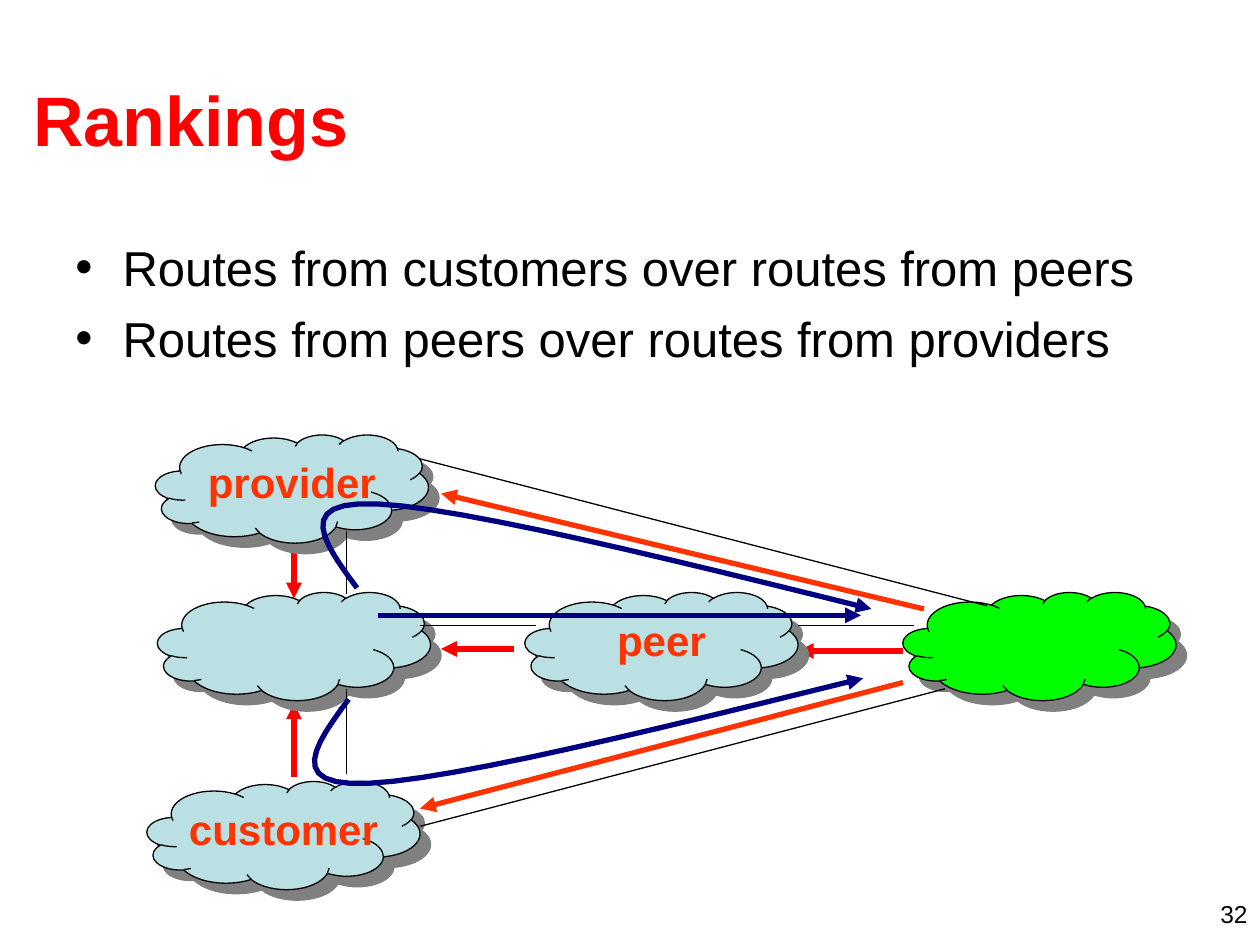
from lxml.etree import SubElement
from pptx import Presentation
from pptx.dml.color import RGBColor
from pptx.enum.shapes import MSO_CONNECTOR, MSO_SHAPE
from pptx.enum.text import MSO_ANCHOR, PP_ALIGN
from pptx.oxml.ns import qn
from pptx.util import Pt

SCALE = 7620
COLORS = {
    "red": "FF0000", "orange": "FF3300", "navy": "000080", "black": "000000",
    "sky": "BBE0E3", "green": "00FF00", "gray": "808080",
}


def emu(px):
    return round(px * SCALE)


def bezier(a, b, c, d, steps=12):
    points = []
    for i in range(1, steps + 1):
        t = i / steps
        u = 1 - t
        points.append(tuple(
            emu(u**3 * p + 3 * u * u * t * q + 3 * u * t * t * r + t**3 * s)
            for p, q, r, s in zip(a, b, c, d)))
    return points


class Deck:
    """Holds the style and the current slide, and draws each kind of element."""

    def __init__(self, prs):
        self.font = "Arial"
        self.slide = prs.slides.add_slide(prs.slide_layouts[6])
        self.shapes = self.slide.shapes

    def color(self, name):
        return RGBColor.from_string(COLORS[name])

    def text(self, box, lines, size, color="black", bold=False,
             align=PP_ALIGN.LEFT, anchor=MSO_ANCHOR.TOP, bullet=False, gap=0):
        frame = self.shapes.add_textbox(*map(emu, box)).text_frame
        frame.word_wrap = True
        frame.vertical_anchor = anchor
        frame.text = "\n".join(lines)
        for i, para in enumerate(frame.paragraphs):
            para.alignment = align
            if i:
                para.space_before = Pt(gap)
            if bullet:
                props = para._p.get_or_add_pPr()
                props.set("marL", str(emu(45)))
                props.set("indent", str(emu(-45)))
                SubElement(props, qn("a:buFont"), typeface=self.font)
                SubElement(props, qn("a:buChar"), char="•")
            for run in para.runs:
                run.font.name = self.font
                run.font.size = Pt(size)
                run.font.bold = bold
                run.font.color.rgb = self.color(color)

    def stroke(self, shape, color, width, arrow):
        shape.line.color.rgb = self.color(color)
        shape.line.width = Pt(width)
        if arrow:
            SubElement(shape.line._get_or_add_ln(), qn("a:tailEnd"), type="triangle")

    def line(self, ends, color="black", width=0.75, arrow=False):
        link = self.shapes.add_connector(MSO_CONNECTOR.STRAIGHT, *map(emu, ends))
        self.stroke(link, color, width, arrow)
        SubElement(link._element.spPr, qn("a:effectLst"))

    def curve(self, points):
        start = points[0]
        form = self.shapes.build_freeform(emu(start[0]), emu(start[1]), scale=1.0)
        for i in (0, 3):
            form.add_line_segments(bezier(*points[i:i + 4]), close=False)
        shape = form.convert_to_shape()
        shape.shadow.inherit = False
        shape.fill.background()
        self.stroke(shape, "navy", 3, True)

    def cloud(self, left, top, fill, label=""):
        box = map(emu, (left, top, 260, 103))
        shape = self.shapes.add_shape(MSO_SHAPE.CLOUD, *box)
        shape.fill.solid()
        shape.fill.fore_color.rgb = self.color(fill)
        self.stroke(shape, "black", 0.75, False)
        shape.shadow.inherit = False
        effects = shape._element.spPr.find(qn("a:effectLst"))
        shadow = SubElement(effects, qn("a:outerShdw"), dist=str(Pt(8.5)),
                            dir="2700000", algn="ctr", rotWithShape="0")
        SubElement(shadow, qn("a:srgbClr"), val=COLORS["gray"])
        if label:
            self.text((left + 10, top + 15, 240, 60), [label], 24,
                      "orange", bold=True, align=PP_ALIGN.CENTER)


def main():
    prs = Presentation()
    prs.slide_width, prs.slide_height = emu(1200), emu(900)
    deck = Deck(prs)

    deck.text((20, 38, 1150, 150), ["Rankings"], 40, "red", bold=True,
              anchor=MSO_ANCHOR.MIDDLE)
    deck.text((60, 220, 1080, 160),
              ["Routes from customers over routes from peers",
               "Routes from peers over routes from providers"],
              28, bullet=True, gap=7)

    for color, ends in (
            ("red", (860, 620, 760, 620)), ("orange", (880, 580, 420, 470)),
            ("orange", (860, 650, 400, 770)), ("red", (490, 618, 420, 618)),
            ("red", (280, 520, 280, 570)), ("red", (280, 740, 280, 670))):
        deck.line(ends, color, 3, True)

    deck.cloud(148, 414, "sky", "provider")
    deck.cloud(500, 564, "sky", "peer")
    deck.cloud(140, 744, "sky", "customer")
    deck.cloud(150, 564, "sky")
    deck.cloud(860, 564, "green")

    for ends in ((330, 566, 330, 506), (330, 656, 330, 737),
                 (400, 596, 510, 596), (760, 596, 870, 596),
                 (400, 787, 900, 656), (400, 437, 940, 577)):
        deck.line(ends)

    upper = [(340, 560), (309, 518), (278, 476), (360, 480),
             (442, 484), (636, 532), (830, 580)]
    deck.curve(upper)
    deck.line((360, 586, 820, 586), "navy", 3, True)
    deck.curve([(x - 8, 1226 - y) for x, y in upper])

    deck.text((920, 850, 280, 30), ["32"], 14, align=PP_ALIGN.RIGHT)
    prs.save("out.pptx")


if __name__ == "__main__":
    main()
